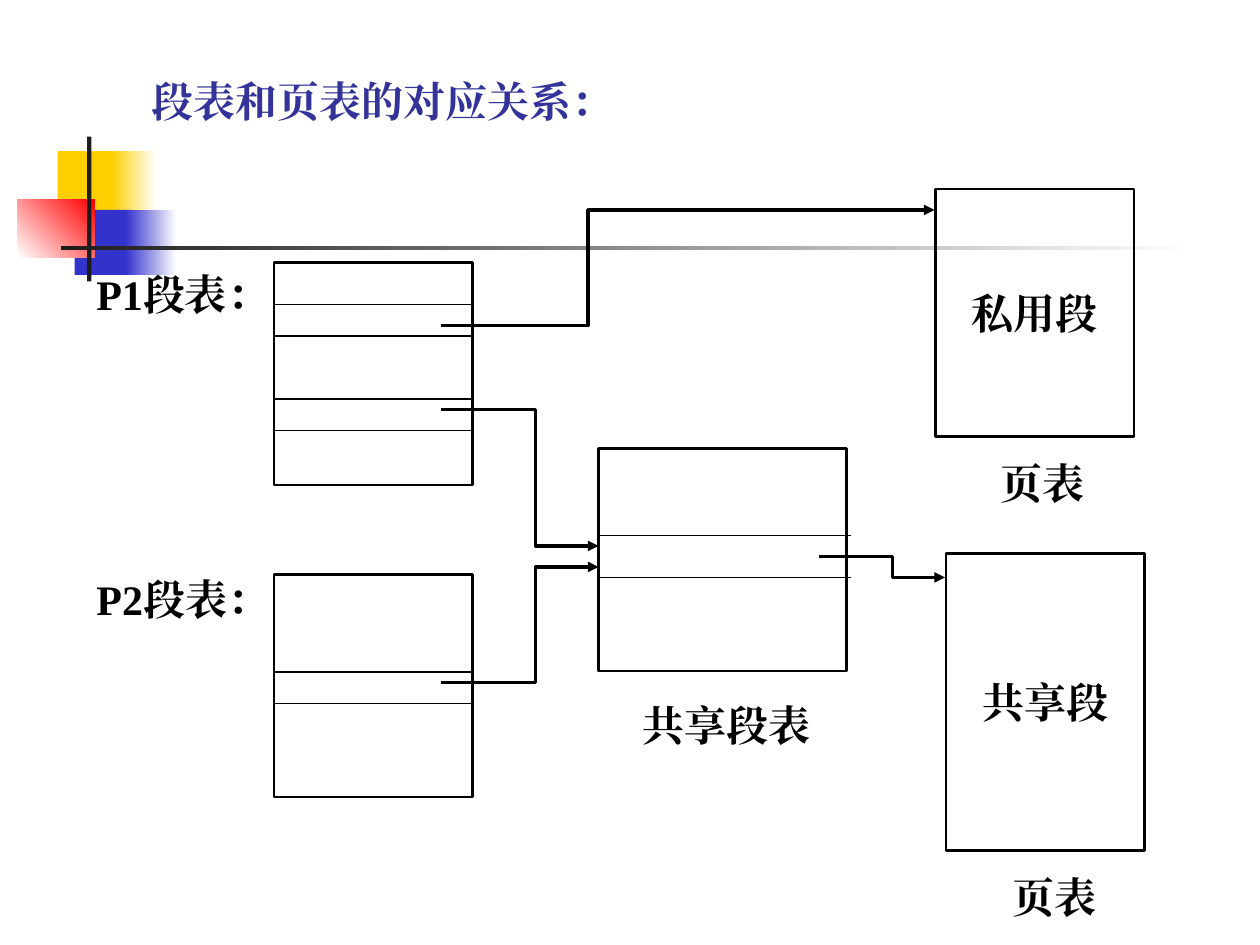
from dataclasses import dataclass

from lxml import etree
from pptx import Presentation
from pptx.dml.color import RGBColor
from pptx.enum.shapes import MSO_CONNECTOR, MSO_SHAPE
from pptx.enum.text import MSO_ANCHOR, MSO_AUTO_SIZE, PP_ALIGN
from pptx.oxml.ns import qn
from pptx.util import Inches, Pt

RECTANGLE = MSO_SHAPE.RECTANGLE
STRAIGHT = MSO_CONNECTOR.STRAIGHT
TOP, MIDDLE = MSO_ANCHOR.TOP, MSO_ANCHOR.MIDDLE
LEFT, CENTER = PP_ALIGN.LEFT, PP_ALIGN.CENTER
NO_AUTOFIT = MSO_AUTO_SIZE.NONE
TITLE_ONLY = 5

WIDTH, HEIGHT = Inches(10), Inches(7.5)
CELL = WIDTH / 120  # the grid has 120 columns and 90 rows


@dataclass(frozen=True)
class Theme:
    font: str = "Times New Roman"
    size: int = 24
    title: str = "333399"
    ink: str = "000000"
    paper: str = "FFFFFF"
    yellow: str = "FFCF01"
    blue: str = "3333CC"
    red: str = "FF0000"
    bar: str = "1C1C1C"
    outline: float = 1.5
    rule: float = 0.75
    arrow: float = 2


@dataclass(frozen=True)
class Box:
    """A place in grid columns and rows."""
    left: float
    top: float
    width: float
    height: float

    def emu(self):
        return [grid(n) for n in (self.left, self.top, self.width, self.height)]


THEME = Theme()


def grid(cells):
    return round(cells * CELL)


def color(code):
    return RGBColor.from_string(code)


def set_line(line, width):
    line.color.rgb = color(THEME.ink)
    line.width = Pt(width)


def write(frame, text, align=LEFT, anchor=TOP, wrap=True, ink=THEME.ink):
    frame.text = text
    frame.word_wrap = wrap
    frame.vertical_anchor = anchor
    frame.auto_size = NO_AUTOFIT
    para = frame.paragraphs[0]
    para.alignment = align
    for span in para.runs:
        span.font.name = THEME.font
        span.font.size = Pt(THEME.size)
        span.font.bold = True
        span.font.color.rgb = color(ink)
        east_asian = etree.SubElement(span.font._element, qn("a:ea"))
        east_asian.set("typeface", THEME.font)


def add_rectangle(page, box):
    shape = page.shapes.add_shape(RECTANGLE, *box.emu())
    shape.shadow.inherit = False
    shape.fill.background()
    return shape


def add_ornament(page, box):
    """Coloured squares and bars, placed from the box's top left corner."""
    parts = [  # left, top, width, height, start colour, end colour, angle
        (3.8, 1.4, 5.8, 6.2, THEME.yellow, None, 0),
        (8.9, 1.4, 4.3, 6.2, THEME.yellow, THEME.paper, 0),
        (5.4, 7, 5.5, 6.2, THEME.blue, None, 0),
        (10.3, 7, 4.8, 6.2, THEME.blue, THEME.paper, 0),
        (0, 6, 7.3, 5.5, THEME.paper, THEME.red, 45),
        (6.6, 0, 0.4, 13.8, THEME.bar, None, 0),
        (4.1, 10.4, 108, 0.4, THEME.bar, THEME.paper, 0),
    ]
    for left, top, width, height, start, end, angle in parts:
        place = Box(box.left + left, box.top + top, width, height)
        shape = add_rectangle(page, place)
        shape.line.fill.background()
        if end is None:
            shape.fill.solid()
            shape.fill.fore_color.rgb = color(start)
            continue
        shape.fill.gradient()
        shape.fill.gradient_angle = angle
        for stop, code in zip(shape.fill.gradient_stops, (start, end)):
            stop.color.rgb = color(code)


def add_title(page, box, text):
    title = page.shapes.title
    title.left, title.top, title.width, title.height = box.emu()
    write(title.text_frame, text, ink=THEME.title)
    # Indent of two characters
    properties = title.text_frame.paragraphs[0]._p.get_or_add_pPr()
    properties.set("marL", str(Pt(2 * THEME.size)))
    properties.set("indent", "0")


def add_label(page, box, text, align=LEFT, wrap=True):
    label = page.shapes.add_textbox(*box.emu())
    write(label.text_frame, text, align, wrap=wrap)


def add_segment_table(page, box, rows, rule_width):
    """An outlined table with rules at the given rows below its top."""
    set_line(add_rectangle(page, box).line, THEME.outline)
    for row in rows:
        y = grid(box.top + row)
        rule = page.shapes.add_connector(
            STRAIGHT, grid(box.left), y, grid(box.left + rule_width), y)
        set_line(rule.line, THEME.rule)
        etree.SubElement(rule._element.spPr, qn("a:effectLst"))


def add_page_table(page, box, text, label_offset):
    """An outlined page table with its caption below."""
    shape = add_rectangle(page, box)
    set_line(shape.line, THEME.outline)
    write(shape.text_frame, text, CENTER, MIDDLE, wrap=False)
    caption = Box(box.left + label_offset, box.top + box.height + 1.4, 10.3, 6)
    add_label(page, caption, "页表", CENTER, wrap=False)


def add_arrow(page, start, bend, end):
    """A route that turns at the bend column and ends in an arrowhead."""
    points = [start, (bend, start[1]), (bend, end[1]), end]
    first, *others = [(grid(x), grid(y)) for x, y in points]
    builder = page.shapes.build_freeform(*first)
    builder.add_line_segments(others, close=False)
    arrow = builder.convert_to_shape()
    arrow.shadow.inherit = False
    arrow.fill.background()
    set_line(arrow.line, THEME.arrow)
    head = etree.SubElement(arrow.line._get_or_add_ln(), qn("a:tailEnd"))
    head.set("type", "triangle")


def main():
    deck = Presentation()
    deck.slide_width, deck.slide_height = WIDTH, HEIGHT
    page = deck.slides.add_slide(deck.slide_layouts[TITLE_ONLY])

    add_ornament(page, Box(1.7, 13, 112.1, 13.8))
    add_title(page, Box(5.2, 6.6, 84, 6), "段表和页表的对应关系：")

    # Segment tables of the two processes and the shared one
    add_segment_table(page, Box(26.1, 25, 18.9, 21.2), (4, 7, 13, 16), 18.9)
    add_segment_table(page, Box(26.1, 54.7, 18.9, 21.2), (9.3, 12.3), 18.9)
    add_segment_table(page, Box(57, 42.7, 23.6, 21.2), (8.3, 12.3), 24)
    add_label(page, Box(8, 25, 17, 6), "P1段表：")
    add_label(page, Box(8, 54, 16, 6), "P2段表：")
    add_label(page, Box(60, 66, 20, 6), "共享段表")

    # Page tables
    add_page_table(page, Box(89.1, 18, 18.9, 23.6), "私用段", 5)
    add_page_table(page, Box(90.1, 52.7, 18.9, 28.3), "共享段", 5.2)

    # Arrows from table entries to their targets
    routes = [
        ((42, 31), 56, (89, 20)),
        ((42, 39), 51, (57, 52)),
        ((42, 65), 51, (57, 54)),
        ((78, 53), 85, (90, 55)),
    ]
    for route in routes:
        add_arrow(page, *route)

    deck.save("out.pptx")


if __name__ == "__main__":
    main()
